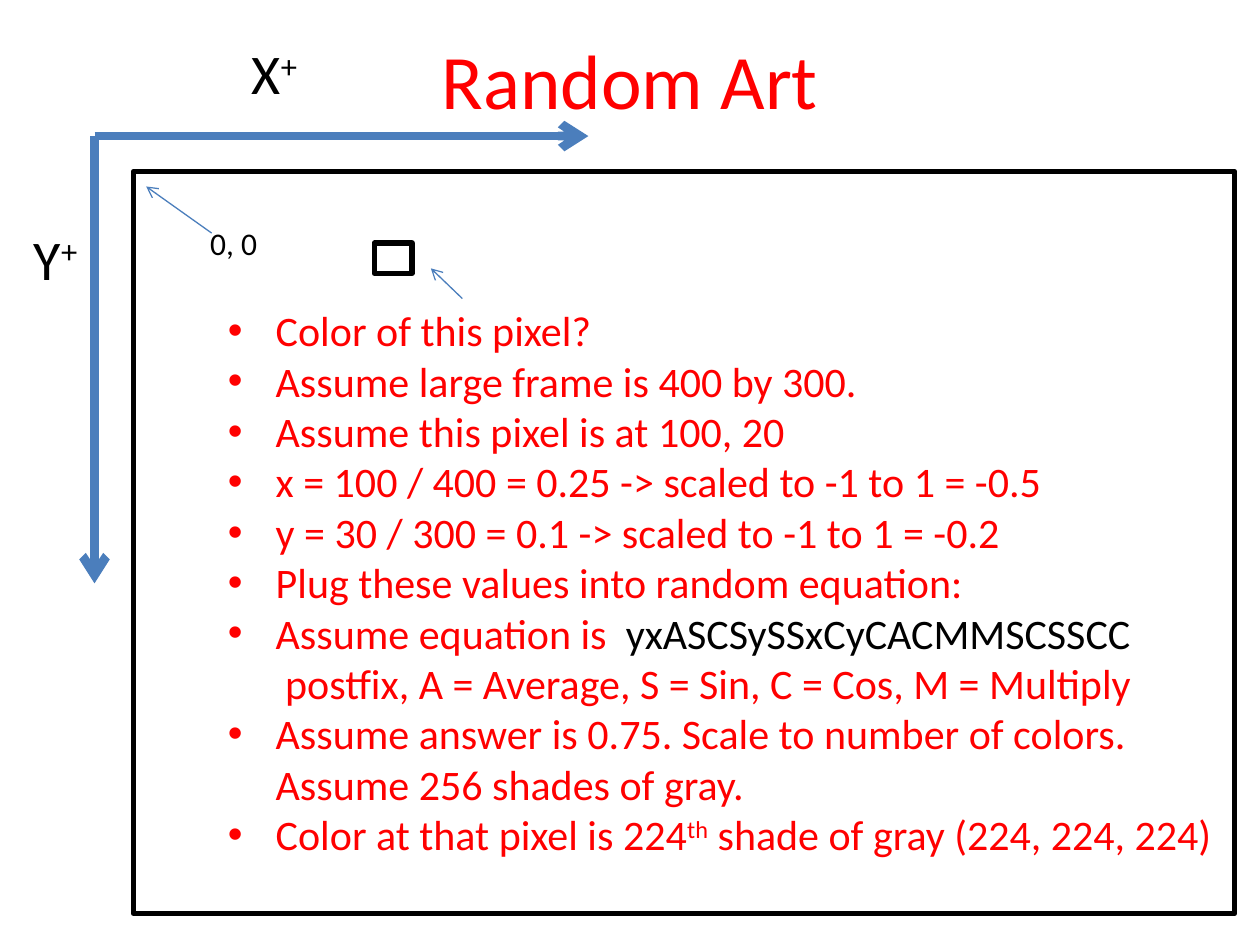
"""Build the Random Art slide explaining how one pixel gets its color."""
from lxml.etree import SubElement
from pptx import Presentation
from pptx.dml.color import RGBColor
from pptx.enum.shapes import MSO_CONNECTOR as CONN, MSO_SHAPE as SHAPE
from pptx.enum.text import MSO_ANCHOR as ANCHOR, MSO_AUTO_SIZE as FIT, PP_ALIGN as ALIGN
from pptx.oxml.ns import qn
from pptx.util import Inches, Pt

RED, BLACK, BLUE = "FF0000", "000000", "4B7EBC"
SUP = "superscript"

STEPS = [
    [("Color of this pixel?", RED)],
    [("Assume large frame is 400 by 300.", RED)],
    [("Assume this pixel is at 100, 20", RED)],
    [("x = 100 / 400 = 0.25 -> scaled to -1 to 1 = -0.5", RED)],
    [("y = 30 / 300 = 0.1 -> scaled to -1 to 1 = -0.2", RED)],
    [("Plug these values into random equation:", RED)],
    [("Assume equation is  ", RED), ("yxASCSySSxCyCACMMSCSSCC\n ", BLACK),
     ("postfix, A = Average, S = Sin, C = Cos, M = Multiply", RED)],
    [("Assume answer is 0.75. Scale to number of colors.\nAssume 256 shades of gray.", RED)],
    [("Color at that pixel is 224", RED), ("th", RED, SUP),
     (" shade of gray (224, 224, 224)", RED)],
]
LABELS = [
    ((1.9, 0.26, 0.58, 0.64), 32, [("X", BLACK), ("+", BLACK, SUP)]),
    ((0.17, 1.73, 0.58, 0.64), 32, [("Y", BLACK), ("+", BLACK, SUP)]),
    ((1.57, 1.73, 0.58, 0.4), 18, [("0, 0", BLACK)]),
]
FRAMES = [(1.06, 1.36, 8.74, 5.89), (2.97, 1.93, 0.3, 0.24)]
ORIGIN = (0.75, 1.08)
ARROWS = [
    (ORIGIN, (4.67, 1.08), 5),
    (ORIGIN, (0.75, 4.63), 5),
    ((1.68, 1.85), (1.16, 1.48), 0.75),
    ((3.67, 2.37), (3.42, 2.13), 0.75),
]


def color(value):
    return RGBColor.from_string(value)


def add_run(p, text, size, rgb, style=None):
    for i, line in enumerate(text.split("\n")):
        if i:
            p.add_line_break()
        r = p.add_run()
        r.text = line
        for name, value in {"size": Pt(size), "name": "Calibri"}.items():
            setattr(r.font, name, value)
        r.font.color.rgb = color(rgb)
        if style == SUP:
            r._r.get_or_add_rPr().set("baseline", "30000")


def add_text(s, box, size, paragraphs, bullet=False, **frame):
    tf = s.shapes.add_textbox(*map(Inches, box)).text_frame
    for name, value in {"word_wrap": False, "auto_size": FIT.SHAPE_TO_FIT_TEXT, **frame}.items():
        setattr(tf, name, value)
    for i, runs in enumerate(paragraphs):
        p = tf.add_paragraph() if i else tf.paragraphs[0]
        if bullet:
            pPr = p._p.get_or_add_pPr()
            pPr.set("marL", str(Inches(0.38)))
            pPr.set("indent", str(-Inches(0.38)))
            SubElement(pPr, qn("a:buFont")).set("typeface", "Arial")
            SubElement(pPr, qn("a:buChar")).set("char", "•")
        for text, *look in runs:
            add_run(p, text, size, *look)
    return tf


def add_frame(s, box):
    sp = s.shapes.add_shape(SHAPE.RECTANGLE, *map(Inches, box))
    sp.shadow.inherit = False
    sp.fill.background()
    sp.line.color.rgb = color(BLACK)
    sp.line.width = Pt(3)


def add_arrow(s, start, end, width):
    line = s.shapes.add_connector(CONN.STRAIGHT, *map(Inches, start + end))
    line.line.color.rgb = color(BLUE)
    line.line.width = Pt(width)
    SubElement(line.line._get_or_add_ln(), qn("a:tailEnd")).set("type", "arrow")
    SubElement(line._element.spPr, qn("a:effectLst"))


def main():
    prs = Presentation()
    prs.slide_width, prs.slide_height = Inches(10), Inches(7.5)
    s = prs.slides.add_slide(prs.slide_layouts[6])
    title = add_text(s, (0.5, 0, 9, 1.25), 44, [[("Random Art", RED)]], word_wrap=True,
                     auto_size=FIT.NONE, vertical_anchor=ANCHOR.MIDDLE)
    title.paragraphs[0].alignment = ALIGN.CENTER
    for box in FRAMES:
        add_frame(s, box)
    add_text(s, (1.71, 2.37, 8.09, 4.54), 24, STEPS, bullet=True)
    for arrow in ARROWS[:2]:
        add_arrow(s, *arrow)
    for box, size, runs in LABELS:
        add_text(s, box, size, [runs])
    for arrow in ARROWS[2:]:
        add_arrow(s, *arrow)
    prs.save("out.pptx")


if __name__ == "__main__":
    main()
